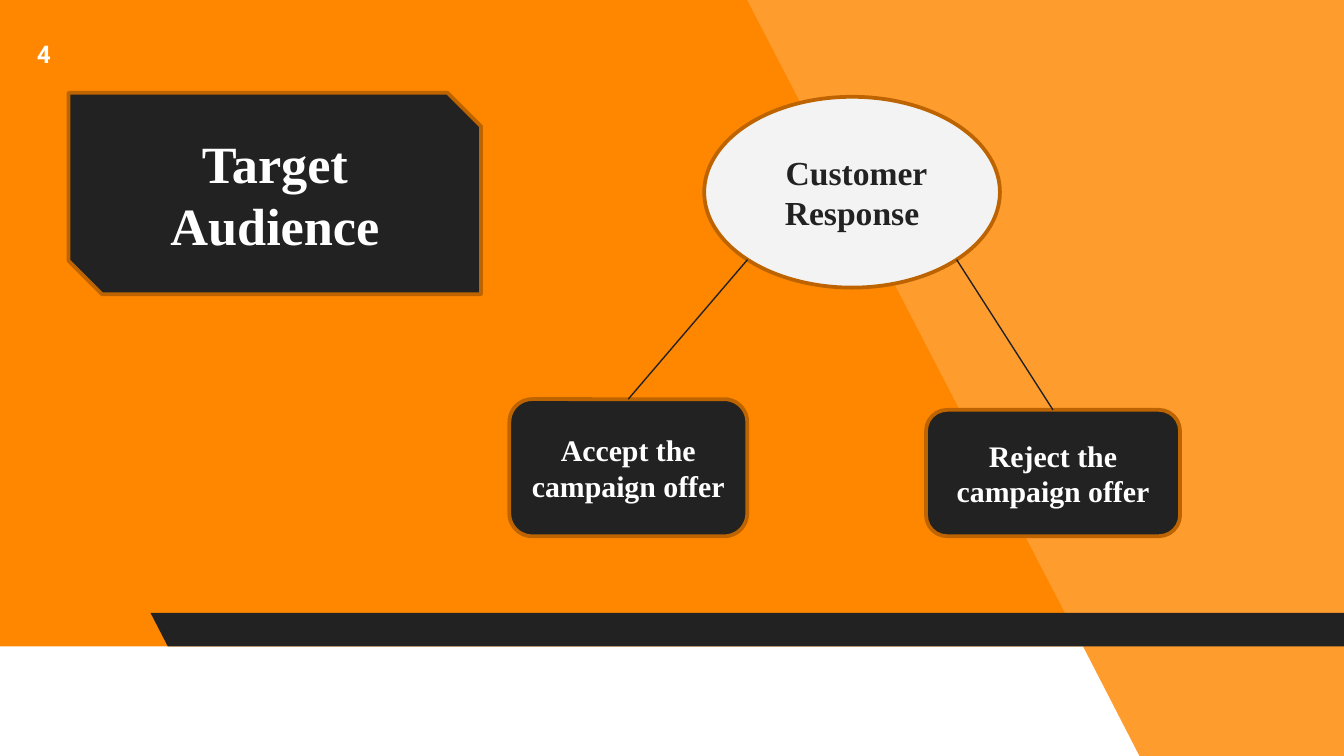
"""Build the Target Audience slide with its customer response tree."""
import math

import lxml.etree
import pptx
import pptx.dml.color
import pptx.enum.shapes
import pptx.enum.text
import pptx.oxml.ns
import pptx.util

ORANGE = pptx.dml.color.RGBColor(0xFF, 0x87, 0x00)
BROWN = pptx.dml.color.RGBColor(0xBD, 0x64, 0x00)
DARK = pptx.dml.color.RGBColor(0x22, 0x22, 0x22)
LIGHT = pptx.dml.color.RGBColor(0xF3, 0xF3, 0xF3)
WHITE = pptx.dml.color.RGBColor(0xFF, 0xFF, 0xFF)

SHAPE = pptx.enum.shapes.MSO_SHAPE
TITLE_ONLY = 5
COLUMNS = 100


def write_text(shape, text, size=16, font="Times New Roman", color=WHITE, margin=0.1):
    """Write one bold, centred paragraph into a shape."""
    frame = shape.text_frame
    frame.word_wrap = True
    frame.auto_size = pptx.enum.text.MSO_AUTO_SIZE.NONE
    frame.vertical_anchor = pptx.enum.text.MSO_ANCHOR.MIDDLE
    frame.margin_left = frame.margin_right = pptx.util.Inches(margin)
    frame.margin_top = frame.margin_bottom = pptx.util.Inches(margin)
    paragraph = frame.paragraphs[0]
    paragraph.alignment = pptx.enum.text.PP_ALIGN.CENTER
    paragraph.line_spacing = 1.0
    run = paragraph.add_run()
    run.text = text
    run.font.name = font
    run.font.size = pptx.util.Pt(size)
    run.font.bold = True
    run.font.color.rgb = color


class SlideBuilder:
    """Hold the style and current slide, measured in square grid cells."""

    def __init__(self, presentation):
        """Add a slide with the orange background."""
        self.cell = presentation.slide_width / COLUMNS
        self.slide = presentation.slides.add_slide(presentation.slide_layouts[TITLE_ONLY])
        self.shapes = self.slide.shapes
        self.slide.background.fill.solid()
        self.slide.background.fill.fore_color.rgb = ORANGE

    def lengths(self, *cells):
        """Turn grid cells into slide lengths."""
        return [pptx.util.Emu(round(count * self.cell)) for count in cells]

    def paint(self, shape, fill, outlined=False):
        """Give a shape its fill and outline, without a shadow."""
        shape.shadow.inherit = False
        shape.fill.solid()
        shape.fill.fore_color.rgb = fill
        if outlined:
            shape.line.color.rgb = BROWN
            shape.line.width = pptx.util.Pt(2)
        else:
            shape.line.fill.background()

    def wedge(self, points, opacity):
        """Draw a translucent white outline through the points."""
        start, *others = [self.lengths(*point) for point in points]
        builder = self.shapes.build_freeform(*start)
        builder.add_line_segments(others, close=True)
        shape = builder.convert_to_shape()
        self.paint(shape, WHITE)
        color = shape._element.spPr.find(".//" + pptx.oxml.ns.qn("a:srgbClr"))
        alpha = lxml.etree.SubElement(color, pptx.oxml.ns.qn("a:alpha"))
        alpha.set("val", str(opacity * 1000))

    def band(self, box, fill):
        """Draw a horizontal band with slanted ends."""
        shape = self.shapes.add_shape(SHAPE.PARALLELOGRAM, *self.lengths(*box))
        shape.adjustments[0] = 0.515
        shape._element.spPr.xfrm.set("flipH", "1")
        self.paint(shape, fill)

    def node(self, kind, box, text="", fill=DARK, **text_format):
        """Draw an outlined shape with optional text."""
        shape = self.shapes.add_shape(kind, *self.lengths(*box))
        self.paint(shape, fill, outlined=True)
        if text:
            write_text(shape, text, **text_format)
        return shape

    def title(self, box, text):
        """Place the title placeholder above the shapes drawn so far."""
        title = self.shapes.title
        title.left, title.top, title.width, title.height = self.lengths(*box)
        self.shapes._spTree.append(title._element)
        write_text(title, text, size=28)

    def label(self, box, text, **text_format):
        """Add a plain text box."""
        write_text(self.shapes.add_textbox(*self.lengths(*box)), text, **text_format)

    def branch(self, parent, child, side):
        """Join the lower left (-1) or lower right (1) of an ellipse to a box top."""
        reach = math.sqrt(0.5) / 2
        x = round(parent.left + parent.width * (0.5 + side * reach))
        y = round(parent.top + parent.height * (0.5 + reach))
        straight = pptx.enum.shapes.MSO_CONNECTOR.STRAIGHT
        connector = self.shapes.add_connector(straight, x, y, x, y)
        connector.end_connect(child, 0)
        connector.line.color.rgb = DARK
        connector.line.width = pptx.util.Pt(0.75)
        lxml.etree.SubElement(connector._element.spPr, pptx.oxml.ns.qn("a:effectLst"))


def main():
    """Build and save the presentation."""
    presentation = pptx.Presentation()
    presentation.slide_width = pptx.util.Inches(10)
    presentation.slide_height = pptx.util.Inches(5.625)
    builder = SlideBuilder(presentation)

    builder.wedge([(55.6, 0), (85, 56.7), (100.6, 56.7), (100.6, -0.4)], opacity=18)
    builder.band((-4.6, 48.1, 89.4, 8.2), WHITE)
    builder.band((11.2, 45.6, 91.5, 2.5), DARK)
    builder.label((0, 0, 6.5, 8), "4", size=13, font="Roboto")

    builder.node(SHAPE.SNIP_2_DIAG_RECTANGLE, (5.1, 6.9, 30.7, 15))
    builder.title((8.5, 6.9, 23.9, 15), "Target Audience")

    response = builder.node(SHAPE.OVAL, (52.4, 7.2, 22, 14.2), " Customer Response",
                            fill=LIGHT, size=18, color=DARK)
    answers = [("Accept the campaign offer", (37.9, 29.7, 17.7, 10.2), -1),
               ("Reject the campaign offer", (68.9, 30.5, 18.9, 9.4), 1)]
    for text, box, side in answers:
        answer = builder.node(SHAPE.ROUNDED_RECTANGLE, box, text)
        builder.branch(response, answer, side)

    presentation.save("out.pptx")


if __name__ == "__main__":
    main()
